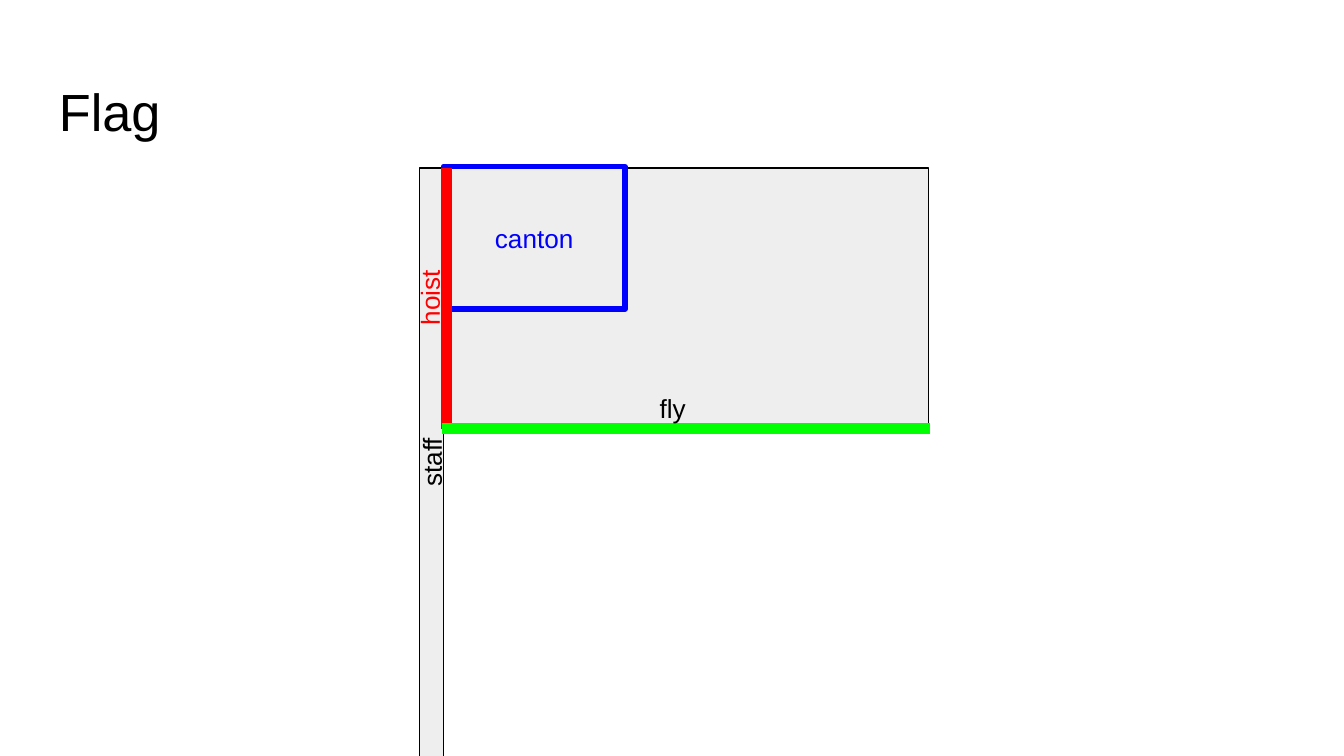
import lxml.etree
import pptx
import pptx.dml.color
import pptx.enum.shapes
import pptx.enum.text
import pptx.oxml.ns
import pptx.util

CELL = pptx.util.Inches(0.1)
COLUMNS, ROWS = 100, 56.25
BLACK, GREY, RED, GREEN, BLUE = "000000", "EEEEEE", "FF0000", "00FF00", "0000FF"
ANCHOR = pptx.enum.text.MSO_ANCHOR
ALIGN = pptx.enum.text.PP_ALIGN


def cells(*counts):
    return [round(count * CELL) for count in counts]


def colour(value):
    return pptx.dml.color.RGBColor.from_string(value)


def write(part, words, size, ink, anchor=ANCHOR.TOP, align=ALIGN.LEFT, wrap=True):
    frame = part.text_frame
    frame.word_wrap = wrap
    frame.vertical_anchor = anchor
    frame.margin_left, frame.margin_top, frame.margin_right, frame.margin_bottom = cells(1, 1, 1, 1)
    frame.text = words
    paragraph = frame.paragraphs[0]
    paragraph.alignment = align
    font = paragraph.runs[0].font
    font.name = "Arial"
    font.size = pptx.util.Pt(size)
    font.color.rgb = colour(ink)


def label(slide, box, words, size, ink, **layout):
    part = slide.shapes.add_textbox(*cells(*box))
    write(part, words, size, ink, **layout)
    return part


def panel(slide, box, edge, weight, words=None):
    part = slide.shapes.add_shape(pptx.enum.shapes.MSO_SHAPE.RECTANGLE, *cells(*box))
    part.shadow.inherit = False
    part.fill.solid()
    part.fill.fore_color.rgb = colour(GREY)
    part.line.color.rgb = colour(edge)
    part.line.width = pptx.util.Pt(weight)
    if words:
        write(part, words, 14, edge, ANCHOR.MIDDLE, ALIGN.CENTER)
    return part


def edge_line(slide, start, end, ink):
    edge = slide.shapes.add_connector(
        pptx.enum.shapes.MSO_CONNECTOR.STRAIGHT, *cells(*start, *end))
    edge.line.color.rgb = colour(ink)
    edge.line.width = pptx.util.Pt(6)
    properties = edge._element.spPr
    lxml.etree.SubElement(properties, pptx.oxml.ns.qn("a:effectLst"))


def draw_title(slide, box):
    label(slide, box, "Flag", 28, BLACK)


def draw_staff(slide, box):
    left, top, width, height = box
    turned = (left + (width - height) / 2, top + (height - width) / 2, height, width)
    panel(slide, turned, BLACK, 0.75, "staff").rotation = 270


def draw_flag(slide, box):
    left, top, width, height = box
    bottom = top + height
    panel(slide, box, BLACK, 0.75)
    panel(slide, (left, top - 0.1, 13.5, 10.6), BLUE, 3, "canton")
    hoist = label(slide, (left - 4.1, top + 8.5, 6.1, 2.3), "hoist", 14, RED,
                  anchor=ANCHOR.MIDDLE, wrap=False)
    hoist.rotation = 270
    edge_line(slide, (left + 0.2, top), (left + 0.2, bottom), RED)
    edge_line(slide, (left - 0.1, bottom), (left + width + 0.1, bottom), GREEN)
    label(slide, (left + 15.1, bottom - 3.7, 12.8, 2.9), "fly", 14, BLACK)


def main():
    deck = pptx.Presentation()
    deck.slide_width, deck.slide_height = cells(COLUMNS, ROWS)
    slide = deck.slides.add_slide(deck.slide_layouts[6])
    draw_title(slide, (3.4, 4.9, 93.2, 6.3))
    draw_staff(slide, (31.2, 12.5, 1.8, 43.8))
    draw_flag(slide, (33, 12.5, 36.1, 19.4))
    deck.save("out.pptx")


if __name__ == "__main__":
    main()
